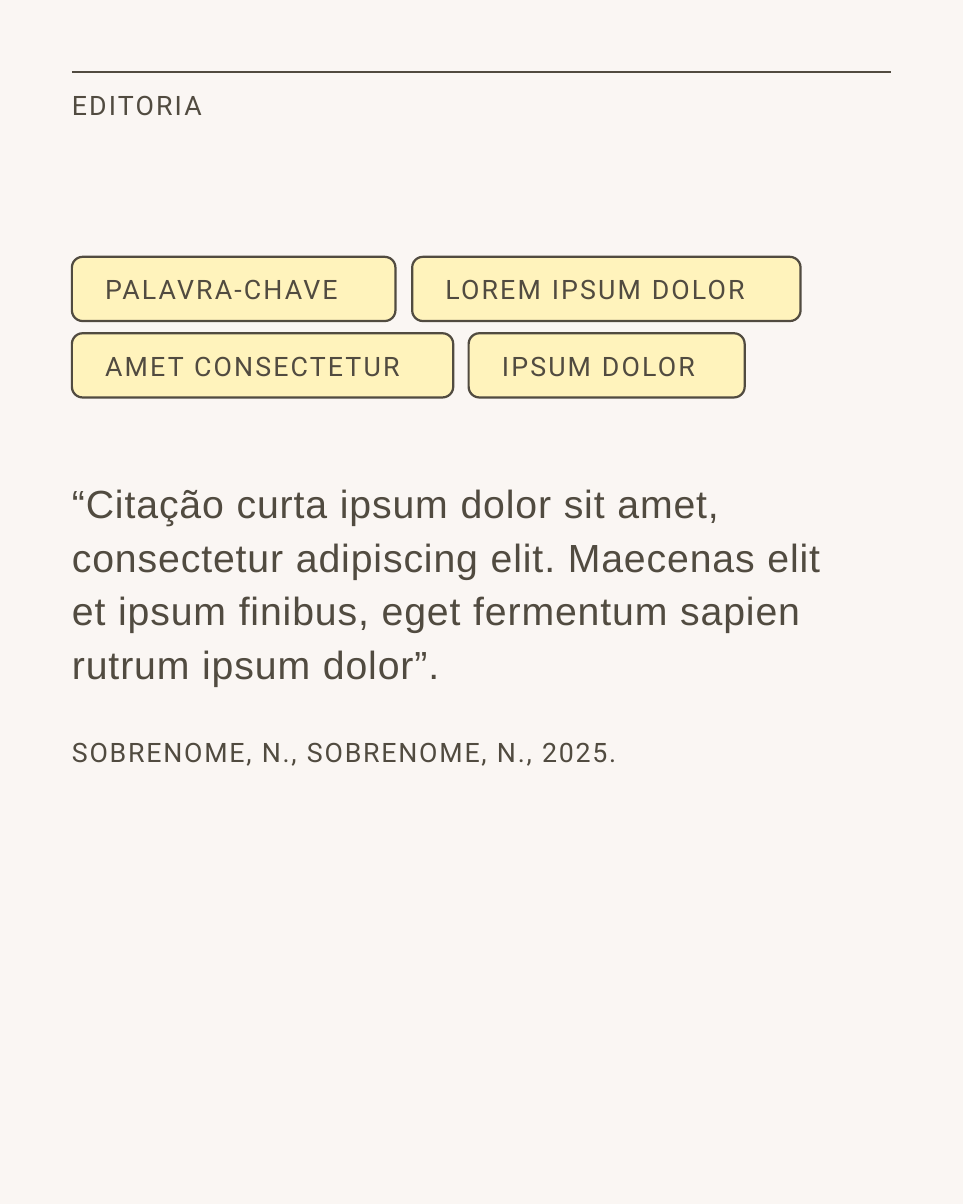
from pptx import Presentation
from pptx.dml.color import RGBColor
from pptx.enum.shapes import MSO_CONNECTOR, MSO_SHAPE
from pptx.enum.text import MSO_ANCHOR, MSO_AUTO_SIZE, PP_ALIGN
from pptx.util import Inches, Pt
from lxml import etree
from pptx.oxml.ns import qn

SECTION = "EDITORIA"
# Rows of keywords: (text, left, width) in inches
KEYWORD_ROWS = [
    [("PALAVRA-CHAVE", 1.12, 5.04), ("LOREM IPSUM DOLOR", 6.42, 6.05)],
    [("AMET CONSECTETUR", 1.12, 5.94), ("IPSUM DOLOR", 7.3, 4.3)],
]
QUOTE = ("“Citação curta ipsum dolor sit amet, consectetur adipiscing elit. "
         "Maecenas elit et ipsum finibus, eget fermentum sapien rutrum ipsum dolor”.")
SOURCE = "SOBRENOME, N., SOBRENOME, N., 2025."

CREAM = RGBColor(0xFA, 0xF6, 0xF3)
YELLOW = RGBColor(0xFF, 0xF3, 0xBC)
BROWN = RGBColor(0x51, 0x4B, 0x40)

PAGE_WIDTH, PAGE_HEIGHT = 15, 18.75
MARGIN = 1.12
CONTENT_WIDTH = PAGE_WIDTH - 2 * MARGIN
KEYWORD_TOP, KEYWORD_HEIGHT, KEYWORD_PITCH = 4, 1, 1.19
RULE_WEIGHT = Pt(2.5)


def set_frame(frame, insets, anchor=MSO_ANCHOR.TOP, wrap=True):
    """Apply insets (left, top, right, bottom in inches), anchor and wrapping."""
    (frame.margin_left, frame.margin_top,
     frame.margin_right, frame.margin_bottom) = map(Inches, insets)
    frame.vertical_anchor = anchor
    frame.word_wrap = wrap
    frame.auto_size = MSO_AUTO_SIZE.SHAPE_TO_FIT_TEXT


def write(paragraph, text, size=30, font="Roboto", tracking=2.4):
    """Fill a paragraph; tracking is the letter spacing in points."""
    paragraph.text = text
    paragraph.alignment = PP_ALIGN.LEFT
    run = paragraph.runs[0]
    run.font.size = Pt(size)
    run.font.name = font
    run.font.color.rgb = BROWN
    run.font._element.set("spc", str(round(tracking * 100)))


def add_keyword(slide, text, left, top, width):
    pill = slide.shapes.add_shape(
        MSO_SHAPE.ROUNDED_RECTANGLE,
        Inches(left), Inches(top), Inches(width), Inches(KEYWORD_HEIGHT))
    pill.shadow.inherit = False
    pill.fill.solid()
    pill.fill.fore_color.rgb = YELLOW
    pill.line.color.rgb = BROWN
    pill.line.width = RULE_WEIGHT
    set_frame(pill.text_frame, (0.47, 0.2, 0.47, 0.2), MSO_ANCHOR.MIDDLE, wrap=False)
    write(pill.text_frame.paragraphs[0], text)


def main():
    prs = Presentation()
    prs.slide_width, prs.slide_height = Inches(PAGE_WIDTH), Inches(PAGE_HEIGHT)
    slide = prs.slides.add_slide(prs.slide_layouts[5])
    slide.background.fill.solid()
    slide.background.fill.fore_color.rgb = CREAM

    rule = slide.shapes.add_connector(
        MSO_CONNECTOR.STRAIGHT, Inches(MARGIN), Inches(MARGIN),
        Inches(PAGE_WIDTH - MARGIN), Inches(MARGIN))
    rule.line.color.rgb = BROWN
    rule.line.width = RULE_WEIGHT
    etree.SubElement(rule._element.spPr, qn("a:effectLst"))

    title = slide.shapes.title
    title.left, title.top = Inches(MARGIN), Inches(1.38)
    title.width, title.height = Inches(CONTENT_WIDTH), Inches(0.51)
    set_frame(title.text_frame, (0, 0, 0, 0))
    write(title.text_frame.paragraphs[0], SECTION)

    for row, keywords in enumerate(KEYWORD_ROWS):
        for text, left, width in keywords:
            add_keyword(slide, text, left, KEYWORD_TOP + row * KEYWORD_PITCH, width)

    citation = slide.shapes.add_textbox(
        Inches(MARGIN), Inches(6.19), Inches(CONTENT_WIDTH), Inches(6.79)).text_frame
    set_frame(citation, (0, 1.18, 0.59, 0))
    quote = citation.paragraphs[0]
    write(quote, QUOTE, size=44, font="Arial", tracking=1)
    quote.line_spacing = Pt(60)
    source = citation.add_paragraph()
    write(source, SOURCE, tracking=2)
    source.line_spacing = source.space_before = Pt(45)

    prs.save("out.pptx")


if __name__ == "__main__":
    main()
